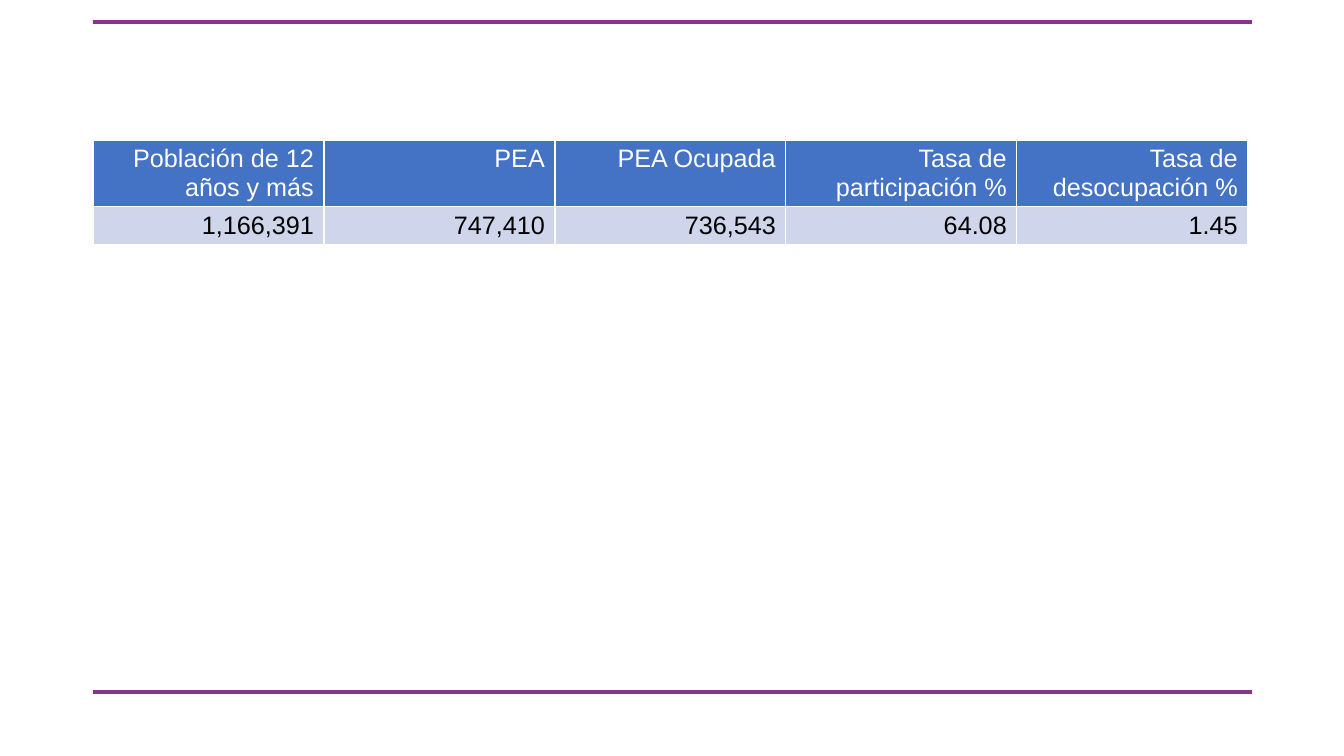
from pptx import Presentation, util as u
from pptx.dml.color import RGBColor
from pptx.enum import shapes, text
from pptx.oxml import parse_xml
from pptx.oxml.ns import nsdecls

ROWS = [
    ("Población de 12 años y más", "PEA", "PEA Ocupada",
     "Tasa de participación %", "Tasa de desocupación %"),
    ("1,166,391", "747,410", "736,543", "64.08", "1.45"),
]
THEME = {
    "font": "Arial", "size": 18, "rule": "85358A", "grid": "FFFFFF",
    "rows": [("4472C4", "FFFFFF"), ("CFD5EA", "000000")],
}
LEFT, WIDE, THICK = 93, 1159, 4
RULES = (20, 690)
TOP, COL, HIGH = 140, 231, (66, 38)


def px(n):
    return u.Emu(round(n * 914400 / 100.8))


def paint(fill, tint):
    fill.solid()
    fill.fore_color.rgb = RGBColor.from_string(tint)


def edge(cell):
    props = cell._tc.get_or_add_tcPr()
    for at, side in enumerate("LRTB"):
        props.insert(at, parse_xml(
            f'<a:ln{side} {nsdecls("a")} w="12700"><a:solidFill>'
            f'<a:srgbClr val="{THEME["grid"]}"/></a:solidFill></a:ln{side}>'))


def write(cell, words, ink):
    para = cell.text_frame.paragraphs[0]
    para.alignment = text.PP_ALIGN.RIGHT
    run = para.add_run()
    run.text = words
    font = run.font
    font.name, font.size, font.bold = THEME["font"], u.Pt(THEME["size"]), False
    font.color.rgb = RGBColor.from_string(ink)


deck = Presentation()
deck.slide_width, deck.slide_height = px(1344), px(756)
slide = deck.slides.add_slide(deck.slide_layouts[6])

for top in RULES:
    rule = slide.shapes.add_shape(
        shapes.MSO_SHAPE.RECTANGLE, px(LEFT), px(top), px(WIDE), px(THICK))
    rule.shadow.inherit = False
    rule.line.fill.background()
    paint(rule.fill, THEME["rule"])

cols = len(ROWS[0])
table = slide.shapes.add_table(
    len(ROWS), cols, px(LEFT), px(TOP), px(COL * cols), px(sum(HIGH))).table
for col in table.columns:
    col.width = px(COL)
for r, (row, high, (back, ink)) in enumerate(zip(ROWS, HIGH, THEME["rows"])):
    table.rows[r].height = px(high)
    for c, words in enumerate(row):
        cell = table.cell(r, c)
        paint(cell.fill, back)
        edge(cell)
        write(cell, words, ink)

deck.save("out.pptx")
